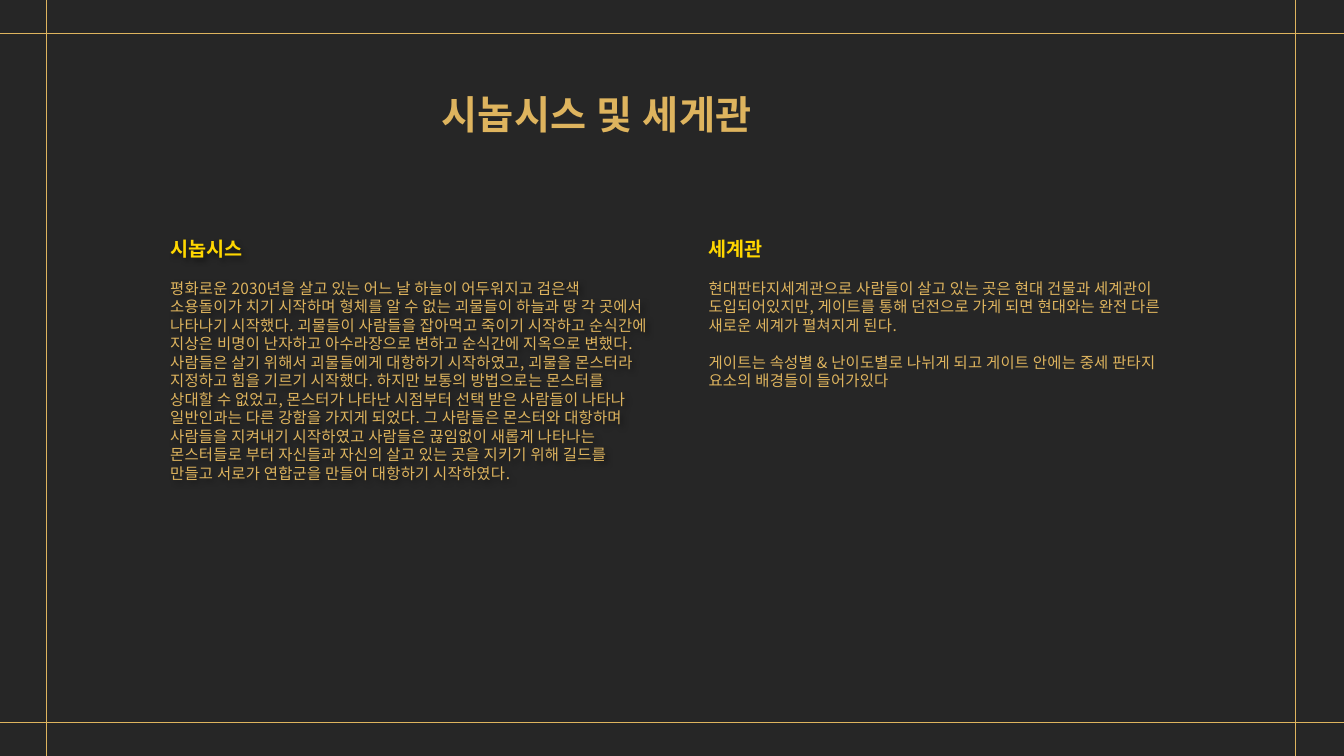
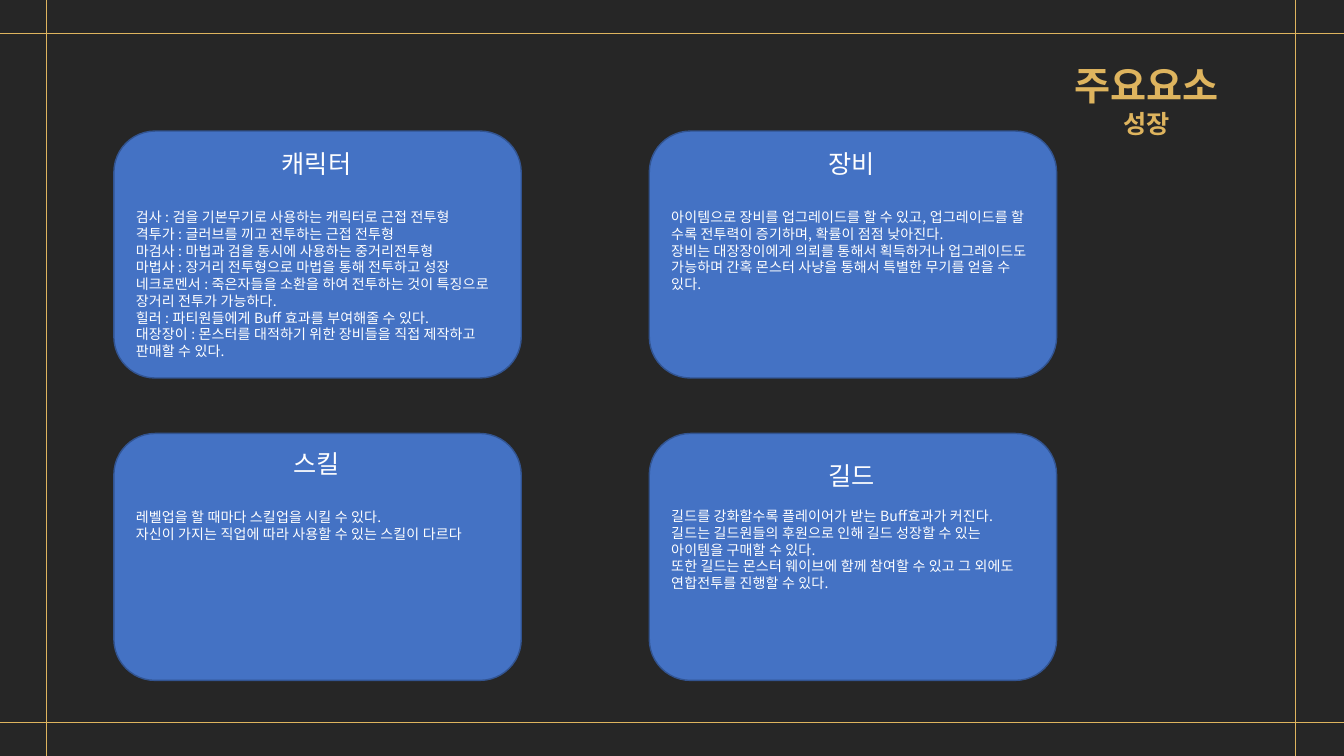
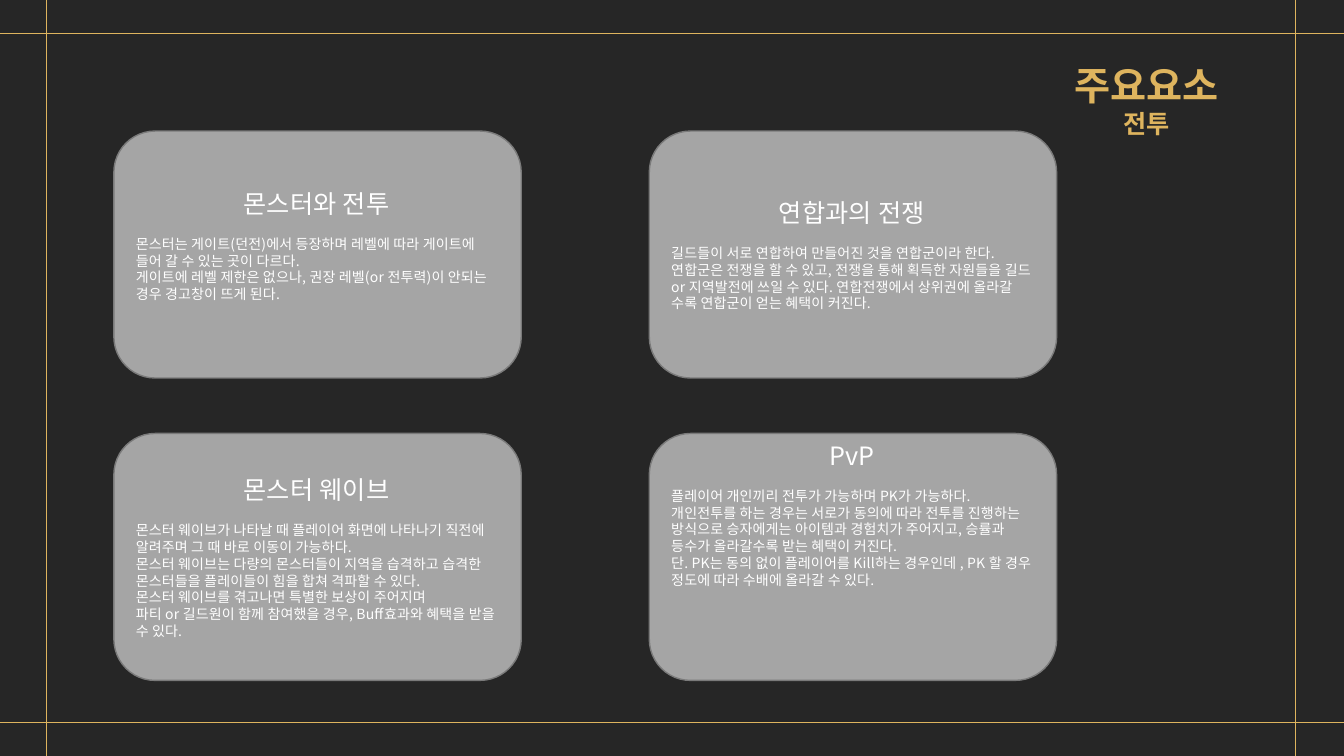
from dataclasses import dataclass

from lxml import etree
from pptx import Presentation
from pptx import util as u
from pptx.dml.color import RGBColor
from pptx.enum import shapes, text
from pptx.oxml.ns import qn


@dataclass(frozen=True)
class Theme:
    font: str = "Noto Sans CJK KR"
    background: str = "262626"
    gold: str = "DEB45E"
    yellow: str = "FFD700"
    white: str = "FFFFFF"
    shadow: str = "000000"
    blue: tuple = ("4472C4", "325491")
    gray: tuple = ("A5A5A5", "7A7A7A")
    title: int = 28
    subtitle: int = 18
    heading: int = 14
    column: int = 11
    card_title: int = 18
    card: int = 10
    leading: float = 1.2
    tracking: float = 1.3  # hundredths of the type size
    right_margin: float = 0.12


theme = Theme()
LEFT, CENTER = text.PP_ALIGN.LEFT, text.PP_ALIGN.CENTER
WIDTH, HEIGHT = 13.33, 7.5
FRAME_LINES = [
    (0.46, 0, 0.46, HEIGHT),
    (12.85, 0, 12.85, HEIGHT),
    (WIDTH, 7.17, 0, 7.17),
    (WIDTH, 0.33, 0, 0.33),
]


def write(text_frame, lines):
    """Fill a frame with (text, size, colour, bold, alignment, space after in points) lines."""
    text_frame.text = "\n".join(line[0] for line in lines)
    text_frame.margin_right = u.Inches(theme.right_margin)
    for paragraph, (words, size, color, bold, alignment, gap) in zip(text_frame.paragraphs, lines):
        paragraph.alignment = alignment
        paragraph.line_spacing = u.Pt(size * theme.leading)
        paragraph.space_after = u.Pt(gap)
        for run in paragraph.runs:
            run.font.size = u.Pt(size)
            run.font.bold = bold
            run.font.color.rgb = RGBColor.from_string(color)
            run.font.name = theme.font
            properties = run.font._element
            if " " in words:
                properties.set("spc", str(round(size * theme.tracking)))
            etree.SubElement(properties, qn("a:ea")).set("typeface", theme.font)


def add_text(slide, left, top, width, height, lines, wrap=True):
    box = slide.shapes.add_textbox(*map(u.Inches, (left, top, width, height)))
    box.text_frame.word_wrap = wrap
    box.text_frame.auto_size = text.MSO_AUTO_SIZE.SHAPE_TO_FIT_TEXT
    write(box.text_frame, lines)
    return box


presentation = Presentation()
presentation.slide_width = u.Inches(WIDTH)
presentation.slide_height = u.Inches(HEIGHT)
background = presentation.slide_master.background.fill
background.solid()
background.fore_color.rgb = RGBColor.from_string(theme.background)

slides = [presentation.slides.add_slide(presentation.slide_layouts[6]) for _ in range(3)]
for slide in slides:
    for ends in FRAME_LINES:
        line = slide.shapes.add_connector(shapes.MSO_CONNECTOR.STRAIGHT, *map(u.Inches, ends))
        line.line.color.rgb = RGBColor.from_string(theme.gold)
        line.line.width = u.Pt(0.5)
        etree.SubElement(line._element.spPr, qn("a:effectLst"))

# Synopsis and world
synopsis_slide, *element_slides = slides
add_text(synopsis_slide, 4.28, 0.85, 3.76, 0.57,
         [("시놉시스 및 세게관", theme.title, theme.gold, True, LEFT, 0)], wrap=False)

columns = [
    (1.59, 2.74, "시놉시스", [
        "평화로운 2030년을 살고 있는 어느 날 하늘이 어두워지고 검은색 소용돌이가 치기 시작하며 "
        "형체를 알 수 없는 괴물들이 하늘과 땅 각 곳에서 나타나기 시작했다. 괴물들이 사람들을 "
        "잡아먹고 죽이기 시작하고 순식간에 지상은 비명이 난자하고 아수라장으로 변하고 순식간에 "
        "지옥으로 변했다. 사람들은 살기 위해서 괴물들에게 대항하기 시작하였고, 괴물을 몬스터라 "
        "지정하고 힘을 기르기 시작했다. 하지만 보통의 방법으로는 몬스터를 상대할 수 없었고, "
        "몬스터가 나타난 시점부터 선택 받은 사람들이 나타나 일반인과는 다른 강함을 가지게 되었다. "
        "그 사람들은 몬스터와 대항하며 사람들을 지켜내기 시작하였고 사람들은 끊임없이 새롭게 "
        "나타나는 몬스터들로 부터 자신들과 자신의 살고 있는 곳을 지키기 위해 길드를 만들고 "
        "서로가 연합군을 만들어 대항하기 시작하였다.",
    ]),
    (6.93, 1.63, "세계관", [
        "현대판타지세계관으로 사람들이 살고 있는 곳은 현대 건물과 세계관이 도입되어있지만, "
        "게이트를 통해 던전으로 가게 되면 현대와는 완전 다른 새로운 세계가 펼쳐지게 된다.",
        "게이트는 속성별 & 난이도별로 나뉘게 되고 게이트 안에는 중세 판타지 요소의 배경들이 들어가있다",
    ]),
]
column_gap = theme.column * theme.leading
column_boxes = []
for left, height, heading, body in columns:
    lines = [(heading, theme.heading, theme.yellow, True, LEFT, column_gap)]
    for index, sentence in enumerate(body, 1):
        gap = column_gap if index < len(body) else 0
        lines.append((sentence, theme.column, theme.gold, False, LEFT, gap))
    column_boxes.append(add_text(synopsis_slide, left, 2.3, 4.97, height, lines))

# Soft shadow behind the synopsis text
effects = etree.SubElement(column_boxes[0]._element.spPr, qn("a:effectLst"))
shadow = etree.SubElement(effects, qn("a:outerShdw"), blurRad=str(u.Pt(4)), dist=str(u.Pt(3)),
                          dir="2700000", algn="tl", rotWithShape="0")
shadow_color = etree.SubElement(shadow, qn("a:srgbClr"), val=theme.shadow)
etree.SubElement(shadow_color, qn("a:alpha"), val="40000")

# Main elements: each card is (title, title offset from card top, title gap size, body)
CARD_LEFT, CARD_TOP, CARD_WIDTH, CARD_HEIGHT = 1.13, 1.3, 4.04, 2.45
COLUMN_STEP, ROW_STEP = 5.31, 3.0
CORNER_INSET = 0.12
growth_cards = [
    ("캐릭터", 0.17, theme.card_title, [
        "검사 : 검을 기본무기로 사용하는 캐릭터로 근접 전투형",
        "격투가 : 글러브를 끼고 전투하는 근접 전투형",
        "마검사 : 마법과 검을 동시에 사용하는 중거리전투형",
        "마법사 : 장거리 전투형으로 마법을 통해 전투하고 성장",
        "네크로멘서 : 죽은자들을 소환을 하여 전투하는 것이 특징으로 장거리 전투가 가능하다.",
        "힐러 : 파티원들에게 Buff 효과를 부여해줄 수 있다.",
        "대장장이 : 몬스터를 대적하기 위한 장비들을 직접 제작하고 판매할 수 있다.",
    ]),
    ("장비", 0.17, theme.card_title, [
        "아이템으로 장비를 업그레이드를 할 수 있고, 업그레이드를 할 수록 전투력이 증기하며, "
        "확률이 점점 낮아진다.",
        "장비는 대장장이에게 의뢰를 통해서 획득하거나 업그레이드도 가능하며 간혹 몬스터 사냥을 "
        "통해서 특별한 무기를 얻을 수 있다.",
    ]),
    ("스킬", 0.15, theme.card_title, [
        "레벨업을 할 때마다 스킬업을 시킬 수 있다.",
        "자신이 가지는 직업에 따라 사용할 수 있는 스킬이 다르다",
    ]),
    ("길드", 0.27, theme.card, [
        "길드를 강화할수록 플레이어가 받는 Buff효과가 커진다.",
        "길드는 길드원들의 후원으로 인해 길드 성장할 수 있는 아이템을 구매할 수 있다.",
        "또한 길드는 몬스터 웨이브에 함께 참여할 수 있고 그 외에도 연합전투를 진행할 수 있다.",
    ]),
]
battle_cards = [
    ("몬스터와 전투", 0.57, theme.card, [
        "몬스터는 게이트(던전)에서 등장하며 레벨에 따라 게이트에 들어 갈 수 있는 곳이 다르다.",
        "게이트에 레벨 제한은 없으나, 권장 레벨(or 전투력)이 안되는 경우 경고창이 뜨게 된다.",
    ]),
    ("연합과의 전쟁", 0.66, theme.card, [
        "길드들이 서로 연합하여 만들어진 것을 연합군이라 한다.",
        "연합군은 전쟁을 할 수 있고, 전쟁을 통해 획득한 자원들을 길드 or 지역발전에 쓰일 수 있다. "
        "연합전쟁에서 상위권에 올라갈 수록 연합군이 얻는 혜택이 커진다.",
    ]),
    ("몬스터 웨이브", 0.41, theme.card, [
        "몬스터 웨이브가 나타날 때 플레이어 화면에 나타나기 직전에 알려주며 그 때 바로 이동이 가능하다.",
        "몬스터 웨이브는 다량의 몬스터들이 지역을 습격하고 습격한 몬스터들을 플레이들이 힘을 합쳐 "
        "격파할 수 있다.",
        "몬스터 웨이브를 겪고나면 특별한 보상이 주어지며",
        "파티 or 길드원이 함께 참여했을 경우, Buff효과와 혜택을 받을 수 있다.",
    ]),
    ("PvP", 0.07, theme.card, [
        "플레이어 개인끼리 전투가 가능하며 PK가 가능하다.",
        "개인전투를 하는 경우는 서로가 동의에 따라 전투를 진행하는 방식으로 승자에게는 아이템과 "
        "경험치가 주어지고, 승률과 등수가 올라갈수록 받는 혜택이 커진다.",
        "단. PK는 동의 없이 플레이어를 Kill하는 경우인데 , PK 할 경우 정도에 따라 수배에 올라갈 수 있다.",
    ]),
]
element_topics = [("성장", theme.blue, growth_cards), ("전투", theme.gray, battle_cards)]

for slide, (topic, (fill, outline), cards) in zip(element_slides, element_topics):
    add_text(slide, 10.56, 0.56, 1.77, 0.91, [
        ("주요요소", theme.title, theme.gold, True, LEFT, 0),
        (topic, theme.subtitle, theme.gold, True, CENTER, 0),
    ], wrap=False)
    for index, (title, title_top, gap_size, body) in enumerate(cards):
        row, column = divmod(index, 2)
        card = slide.shapes.add_shape(
            shapes.MSO_SHAPE.ROUNDED_RECTANGLE,
            u.Inches(CARD_LEFT + column * COLUMN_STEP), u.Inches(CARD_TOP + row * ROW_STEP),
            u.Inches(CARD_WIDTH), u.Inches(CARD_HEIGHT))
        card.shadow.inherit = False
        card.fill.solid()
        card.fill.fore_color.rgb = RGBColor.from_string(fill)
        card.line.color.rgb = RGBColor.from_string(outline)
        card.line.width = u.Pt(1)
        card.text_frame.word_wrap = True
        card.text_frame.vertical_anchor = text.MSO_ANCHOR.TOP
        card.text_frame.margin_top = u.Inches(title_top - CORNER_INSET)
        title_line = (title, theme.card_title, theme.white, False, CENTER, gap_size * theme.leading)
        body_lines = [(sentence, theme.card, theme.white, False, LEFT, 0) for sentence in body]
        write(card.text_frame, [title_line] + body_lines)

presentation.save("out.pptx")
